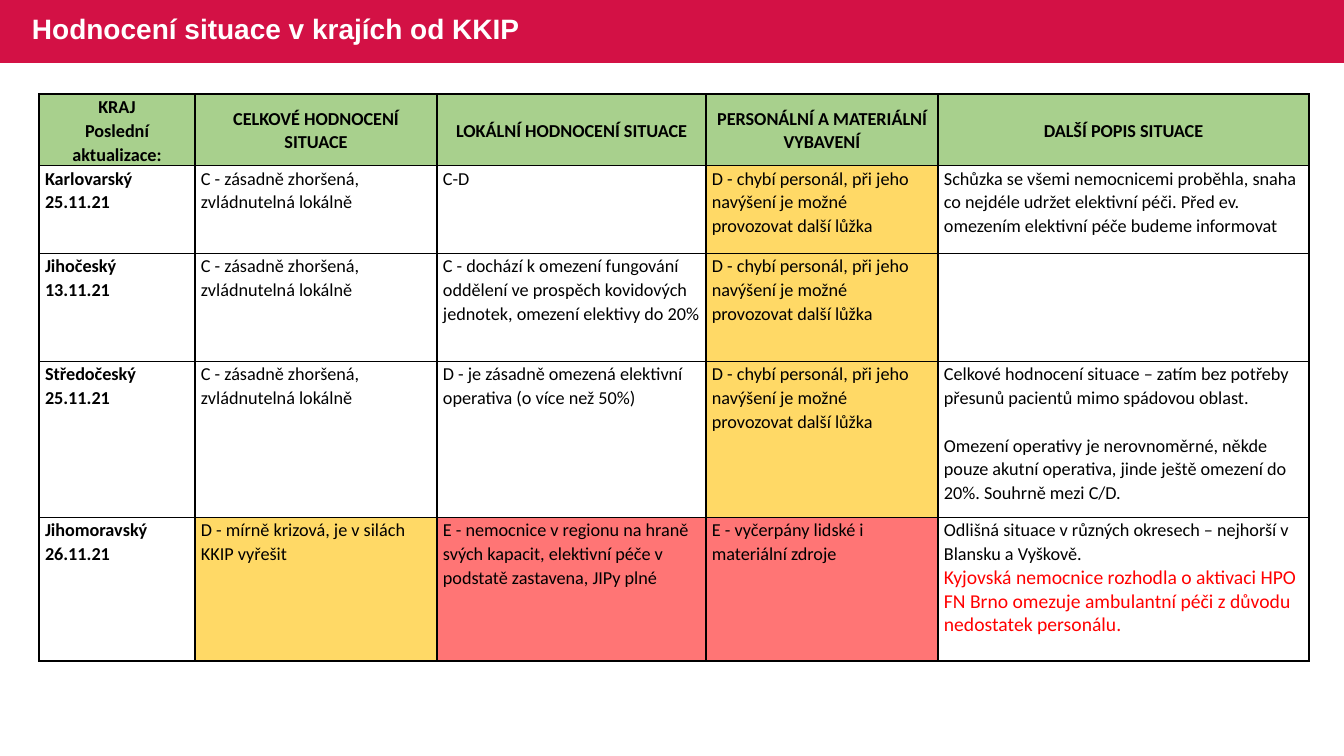
"""Builds the slide that rates the situation in the regions."""
from lxml.etree import SubElement
from pptx import Presentation
from pptx.dml.color import RGBColor
from pptx.enum.shapes import MSO_SHAPE
from pptx.enum.text import MSO_ANCHOR, PP_ALIGN
from pptx.oxml.ns import qn
from pptx.util import Pt

PX = 914400 / 100.8
THEME = {
    "banner": RGBColor.from_string("D31145"),
    "header": RGBColor.from_string("A8D08D"),
    "serious": RGBColor.from_string("FFD966"),
    "critical": RGBColor.from_string("FF7575"),
    "border": "000000",
    "title": {"name": "Arial", "size": Pt(20), "bold": True, "rgb": RGBColor(255, 255, 255)},
    "label": {"name": "Calibri", "size": Pt(13), "bold": True, "rgb": RGBColor(0, 0, 0)},
    "body": {"name": "Calibri", "size": Pt(13), "bold": False, "rgb": RGBColor(0, 0, 0)},
    "alert": {"name": "Calibri", "size": Pt(14), "bold": False, "rgb": RGBColor(255, 0, 0)},
}


def px(*lengths):
    return [round(length * PX) for length in lengths]


def apply(target, formats):
    for key, value in formats.items():
        setattr(target.color if key == "rgb" else target, key, value)


worsened = "C - zásadně zhoršená, zvládnutelná lokálně"
understaffed = "D - chybí personál, při jeho navýšení je možné provozovat další lůžka"
ratings = [
    [["KRAJ", "Poslední aktualizace:"], ["CELKOVÉ HODNOCENÍ SITUACE"], ["LOKÁLNÍ HODNOCENÍ SITUACE"],
     ["PERSONÁLNÍ A MATERIÁLNÍ VYBAVENÍ"], ["DALŠÍ POPIS SITUACE"]],
    [["Karlovarský", "25.11.21"], [worsened], ["C-D"], [understaffed],
     ["Schůzka se všemi nemocnicemi proběhla, snaha co nejdéle udržet elektivní péči. "
      "Před ev. omezením elektivní péče budeme informovat"]],
    [["Jihočeský", "13.11.21"], [worsened],
     ["C - dochází k omezení fungování oddělení ve prospěch kovidových jednotek, "
      "omezení elektivy do 20%"], [understaffed], []],
    [["Středočeský", "25.11.21"], [worsened],
     ["D - je zásadně omezená elektivní operativa (o více než 50%)"], [understaffed],
     ["Celkové hodnocení situace – zatím bez potřeby přesunů pacientů mimo spádovou oblast.",
      "Omezení operativy je nerovnoměrné, někde pouze akutní operativa, "
      "jinde ještě omezení do 20%. Souhrně mezi C/D."]],
    [["Jihomoravský", "26.11.21"], ["D - mírně krizová, je v silách KKIP vyřešit"],
     ["E - nemocnice v regionu na hraně svých kapacit, elektivní péče v podstatě zastavena, JIPy plné"],
     ["E - vyčerpány lidské i materiální zdroje"],
     ["Odlišná situace v různých okresech – nejhorší v Blansku a Vyškově.",
      "Kyjovská nemocnice rozhodla o aktivaci HPO",
      "FN Brno omezuje ambulantní péči z důvodu nedostatek personálu."]],
]
severity = {(1, 3): "serious", (2, 3): "serious", (3, 3): "serious",
            (4, 1): "serious", (4, 2): "critical", (4, 3): "critical"}
alerts = ratings[4][4][1:]
paragraph_gaps = {ratings[3][4][1]: Pt(17)}
column_widths = px(156, 242, 269, 232, 371)
row_heights = px(71, 88, 108, 156, 144)

deck = Presentation()
deck.slide_width, deck.slide_height = px(1344, 756)
slide = deck.slides.add_slide(deck.slide_layouts[6])

banner = slide.shapes.add_shape(MSO_SHAPE.RECTANGLE, *px(0, 0, 1344, 63))
banner.shadow.inherit = False
banner.fill.solid()
banner.fill.fore_color.rgb = THEME["banner"]
banner.line.fill.background()

heading = slide.shapes.add_textbox(*px(22, -1, 820, 63)).text_frame
apply(heading, {"word_wrap": True, "vertical_anchor": MSO_ANCHOR.MIDDLE})
heading.text = "Hodnocení situace v krajích od KKIP"
heading.paragraphs[0].line_spacing = 0.9
apply(heading.paragraphs[0].runs[0].font, THEME["title"])

overview = slide.shapes.add_table(
    len(row_heights), len(column_widths), *px(39, 94), sum(column_widths), sum(row_heights)).table
apply(overview, {"first_row": False, "horz_banding": False})
for column, width in zip(overview.columns, column_widths):
    column.width = width
for row, height in zip(overview.rows, row_heights):
    row.height = height

for row_index, region in enumerate(ratings):
    for column_index, lines in enumerate(region):
        is_header = row_index == 0
        cell = overview.cell(row_index, column_index)
        side, top, bottom = px(6, 1, 0)
        apply(cell, {"margin_left": side, "margin_right": side, "margin_top": top, "margin_bottom": bottom,
                     "vertical_anchor": MSO_ANCHOR.MIDDLE if is_header else MSO_ANCHOR.TOP})
        level = "header" if is_header else severity.get((row_index, column_index))
        if level:
            cell.fill.solid()
            cell.fill.fore_color.rgb = THEME[level]
        else:
            cell.fill.background()

        properties = cell._tc.get_or_add_tcPr()
        for position, edge in enumerate(("a:lnL", "a:lnR", "a:lnT", "a:lnB")):
            border = SubElement(properties, qn(edge), w=str(Pt(1)))
            SubElement(SubElement(border, qn("a:solidFill")), qn("a:srgbClr"), val=THEME["border"])
            properties.insert(position, border)

        cell.text = "\n".join(lines)
        for paragraph in cell.text_frame.paragraphs:
            is_alert = paragraph.text in alerts
            style = "alert" if is_alert else "label" if is_header or column_index == 0 else "body"
            apply(paragraph, {"alignment": PP_ALIGN.CENTER if is_header else PP_ALIGN.LEFT,
                              "line_spacing": 1.0 if is_alert else 1.07,
                              "space_before": paragraph_gaps.get(paragraph.text, Pt(0))})
            for run in paragraph.runs:
                apply(run.font, THEME[style])

deck.save("out.pptx")
